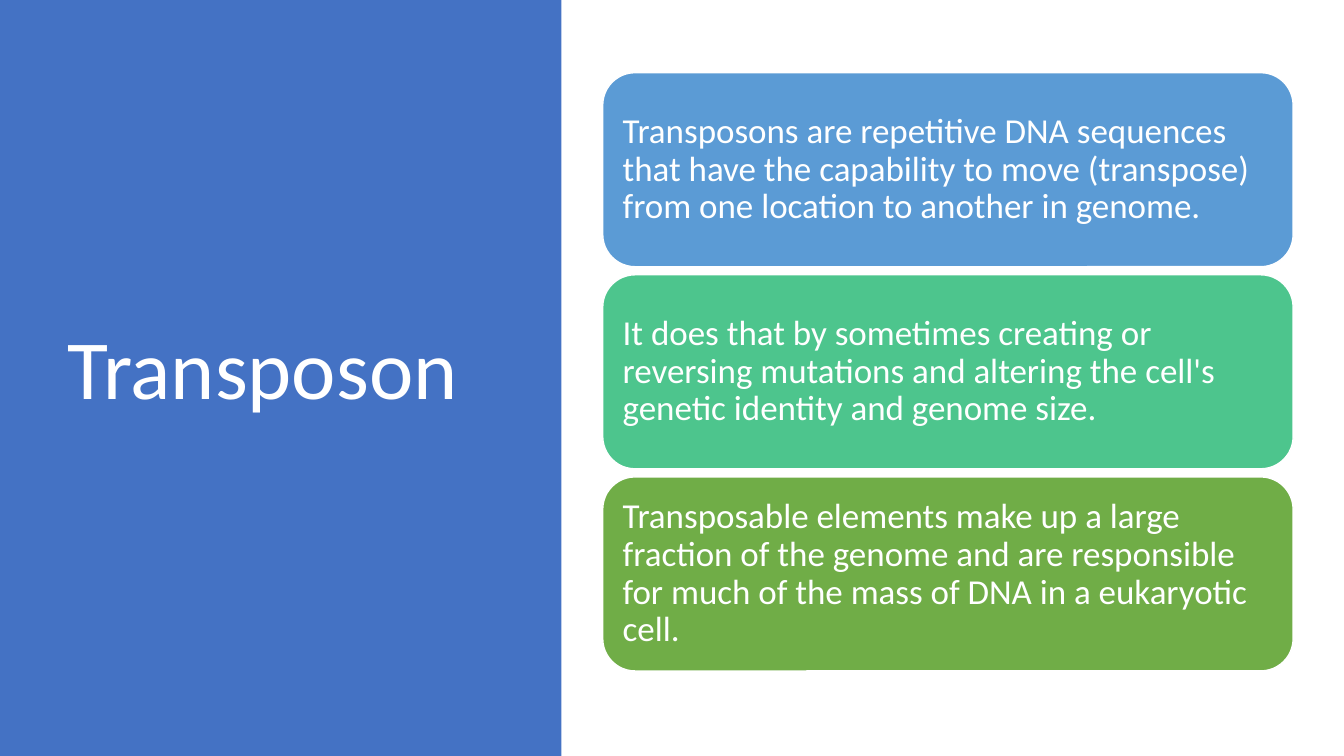
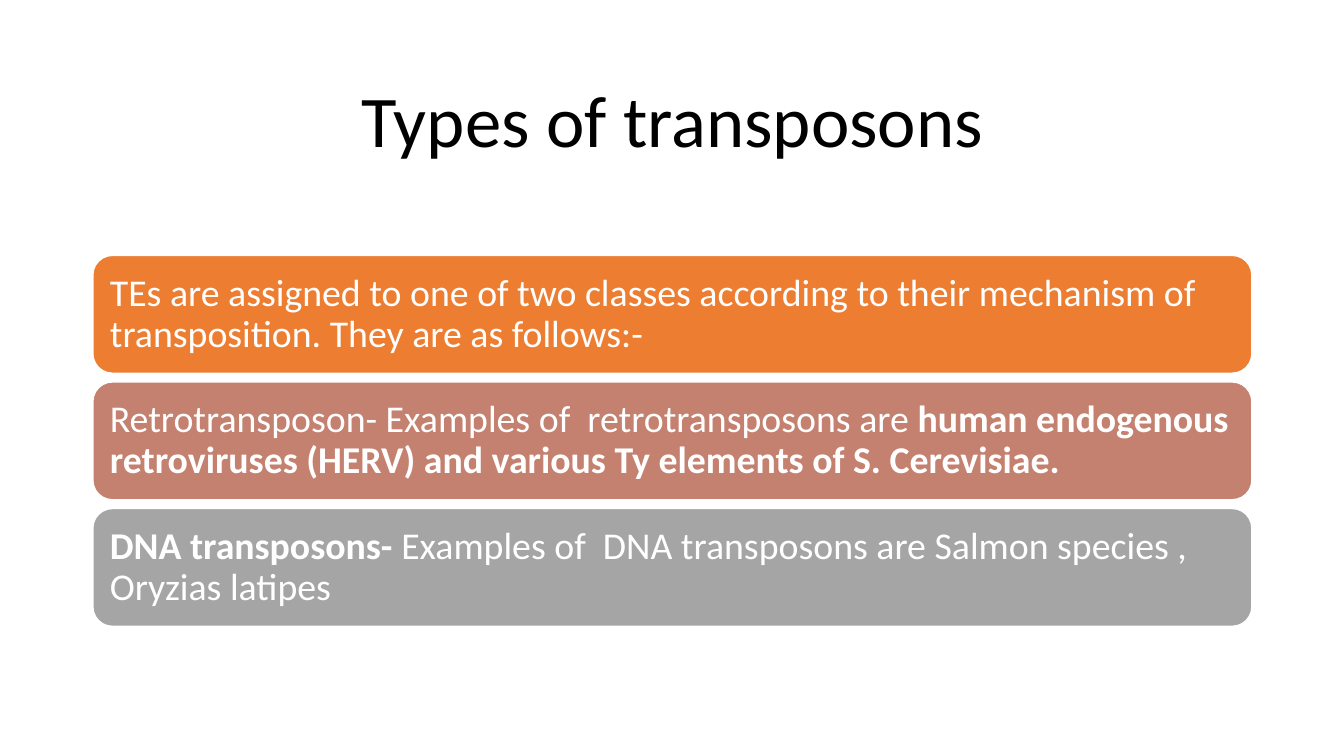
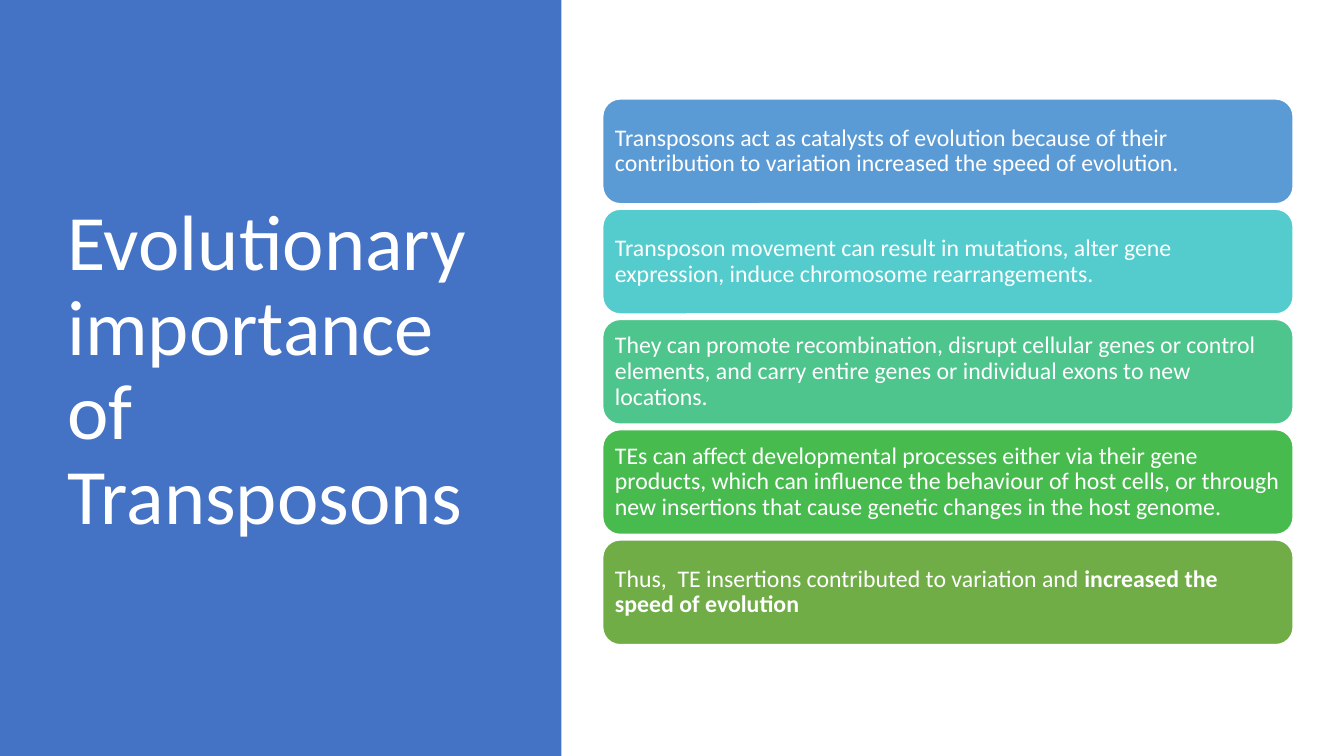
from dataclasses import dataclass

from pptx import Presentation
from pptx.dml.color import RGBColor
from pptx.enum import shapes, text
from pptx.util import Cm, Pt


@dataclass(frozen=True)
class Theme:
    font: str = "Calibri"
    line_spacing: float = 0.9
    white: str = "FFFFFF"
    black: str = "000000"
    panel: str = "4472C4"
    blue: str = "5B9BD5"
    cyan: str = "54CCCD"
    teal: str = "4DC58D"
    green: str = "48BB4F"
    olive: str = "70AD47"
    orange: str = "ED7D31"
    clay: str = "C48170"
    grey: str = "A5A5A5"
    topic_title: int = 60
    long_title: int = 56
    wide_title: int = 52
    topic_card: int = 25
    wide_card: int = 27
    small_card: int = 17
    inset_ratio: float = 0.3  # card text inset, relative to the type size
    gap_ratio: float = 0.23  # gap between cards, relative to the type size


theme = Theme()


def write_text(shape, runs, size, color, align):
    """Fill a shape with one paragraph made of (text, bold) runs."""
    frame = shape.text_frame
    frame.word_wrap = True
    frame.vertical_anchor = text.MSO_ANCHOR.MIDDLE
    paragraph = frame.paragraphs[0]
    paragraph.alignment = align
    paragraph.line_spacing = theme.line_spacing
    paragraph.font.name = theme.font
    paragraph.font.size = Pt(size)
    paragraph.font.color.rgb = RGBColor.from_string(color)
    for words, bold in runs:
        run = paragraph.add_run()
        run.text = words
        if bold:
            run.font.bold = True


def add_block(slide, kind, box, color):
    """Add a filled shape without shadow or outline."""
    shape = slide.shapes.add_shape(kind, *box)
    shape.shadow.inherit = False
    shape.fill.solid()
    shape.fill.fore_color.rgb = RGBColor.from_string(color)
    shape.line.fill.background()
    return shape


# Layouts: title box, title alignment and colour, then the card column
side_layout = {
    "panel": True,
    "title_box": (Cm(1.45), Cm(1.73), Cm(10.57), Cm(15.29)),
    "title_align": text.PP_ALIGN.LEFT,
    "title_color": theme.white,
    "left": Cm(15.19),
    "width": Cm(17.4),
    "middle": Cm(9.37),
}
wide_layout = {
    "panel": False,
    "title_box": (Cm(2.34), Cm(1.55), Cm(29.21), Cm(3.15)),
    "title_align": text.PP_ALIGN.CENTER,
    "title_color": theme.black,
    "left": Cm(2.34),
    "width": Cm(29.21),
    "middle": Cm(11.11),
}

# Layout, title, title size, card size, card height, cards
pages = [
    (side_layout, "Transposon", theme.topic_title, theme.topic_card, Cm(4.89), [
        (theme.blue, [("Transposons are repetitive DNA sequences that have the capability "
                       "to move (transpose) from one location to another in genome.", False)]),
        (theme.teal, [("It does that by sometimes creating or reversing mutations and "
                       "altering the cell's genetic identity and genome size.", False)]),
        (theme.olive, [("Transposable elements make up a large fraction of the genome and are "
                        "responsible for much of the mass of DNA in a eukaryotic cell.", False)]),
    ]),
    (wide_layout, "Types of transposons", theme.wide_title, theme.wide_card, Cm(2.97), [
        (theme.orange, [("TEs are assigned to one of two classes according to their mechanism "
                         "of transposition. They are as follows:-", False)]),
        (theme.clay, [("Retrotransposon- Examples of  retrotransposons are ", False),
                      ("human endogenous retroviruses (HERV) and various Ty elements "
                       "of S. Cerevisiae.", True)]),
        (theme.grey, [("DNA transposons- ", True),
                      ("Examples of  DNA transposons are Salmon species , Oryzias latipes",
                       False)]),
    ]),
    (side_layout, "Evolutionary importance of Transposons", theme.long_title,
     theme.small_card, Cm(2.64), [
        (theme.blue, [("Transposons act as catalysts of evolution because of their contribution "
                       "to variation increased the speed of evolution.", False)]),
        (theme.cyan, [("Transposon movement can result in mutations, alter gene expression, "
                       "induce chromosome rearrangements.", False)]),
        (theme.teal, [("They can promote recombination, disrupt cellular genes or control "
                       "elements, and carry entire genes or individual exons to new "
                       "locations.", False)]),
        (theme.green, [("TEs can affect developmental processes either via their gene products, "
                        "which can influence the behaviour of host cells, or through new "
                        "insertions that cause genetic changes in the host genome.", False)]),
        (theme.olive, [("Thus,  TE insertions contributed to variation and ", False),
                       ("increased the speed of evolution", True)]),
    ]),
]

presentation = Presentation()
presentation.slide_width = Cm(33.87)
presentation.slide_height = Cm(19.05)
blank = presentation.slide_layouts[6]

for layout, title, title_size, card_size, card_height, cards in pages:
    slide = presentation.slides.add_slide(blank)
    if layout["panel"]:
        add_block(slide, shapes.MSO_SHAPE.RECTANGLE,
                  (0, 0, Cm(14.15), presentation.slide_height), theme.panel)
    title_box = slide.shapes.add_textbox(*layout["title_box"])
    write_text(title_box, [(title, False)], title_size,
               layout["title_color"], layout["title_align"])

    # Cards are stacked with equal gaps around the middle of their column
    gap = Pt(card_size * theme.gap_ratio)
    pitch = card_height + gap
    top = layout["middle"] - (len(cards) * pitch - gap) // 2
    inset = Pt(card_size * theme.inset_ratio)
    for row, (color, runs) in enumerate(cards):
        card = add_block(slide, shapes.MSO_SHAPE.ROUNDED_RECTANGLE,
                         (layout["left"], top + row * pitch, layout["width"], card_height), color)
        card.line.color.rgb = RGBColor.from_string(theme.white)
        card.line.width = Pt(1)
        frame = card.text_frame
        frame.margin_left = frame.margin_right = inset
        frame.margin_top = frame.margin_bottom = inset
        write_text(card, runs, card_size, theme.white, text.PP_ALIGN.LEFT)

presentation.save("out.pptx")
